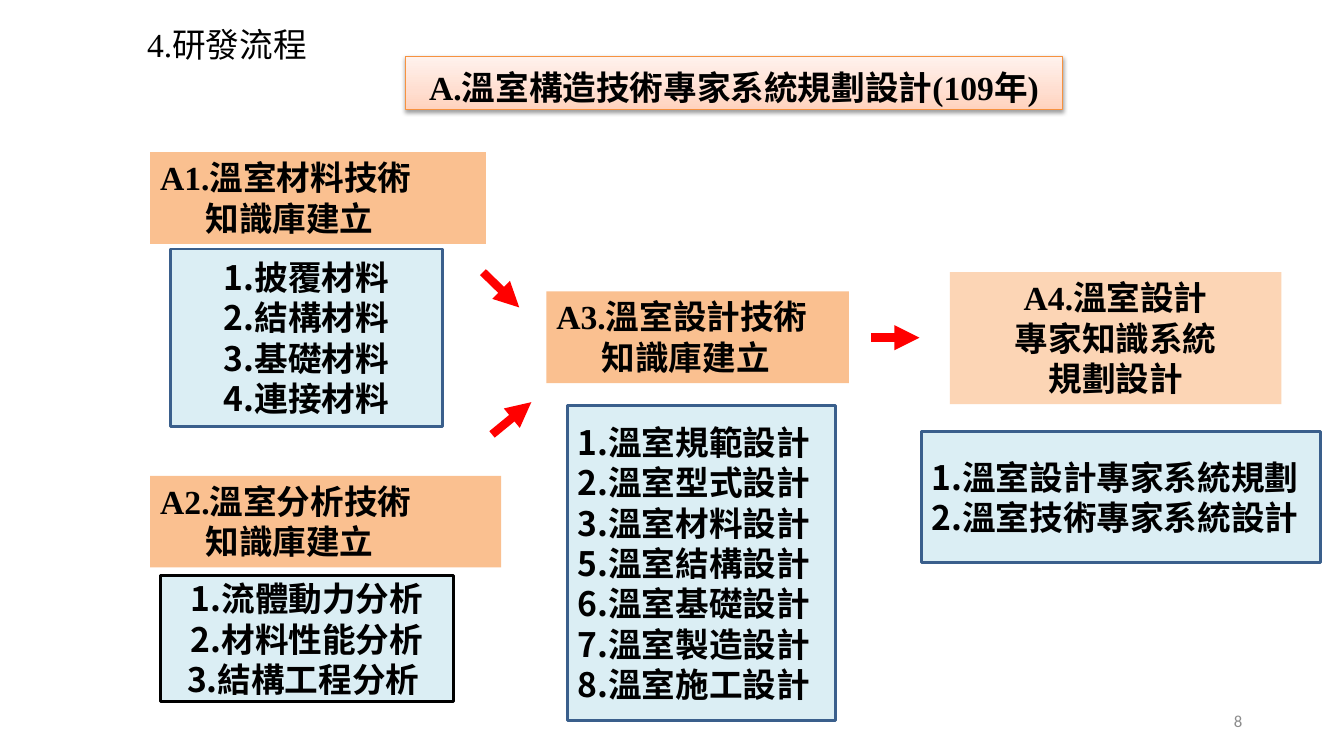
from dataclasses import dataclass

from lxml import etree
from pptx import Presentation
from pptx.dml.color import RGBColor
from pptx.enum.shapes import MSO_CONNECTOR, MSO_SHAPE
from pptx.enum.text import MSO_ANCHOR, PP_ALIGN
from pptx.oxml.ns import qn
from pptx.util import Inches, Pt

RECT = MSO_SHAPE.RECTANGLE
STRAIGHT = MSO_CONNECTOR.STRAIGHT
TOP, MIDDLE = MSO_ANCHOR.TOP, MSO_ANCHOR.MIDDLE
LEFT, CENTER, RIGHT = PP_ALIGN.LEFT, PP_ALIGN.CENTER, PP_ALIGN.RIGHT


@dataclass(frozen=True)
class Theme:
    serif: str = "Times New Roman"
    sans: str = "Noto Sans CJK SC"
    plain: str = "Calibri"
    body: float = 24
    small: float = 12
    black: str = "000000"
    gray: str = "8C8C8C"
    orange: str = "FAC090"
    peach: str = "FCD5B5"
    ice: str = "DBEEF4"
    navy: str = "3A5F8C"
    red: str = "FF0000"
    rim: str = "F69240"
    blend: tuple = ((0, "FFD2BD"), (35, "FFDED0"), (100, "FFF2ED"))


THEME = Theme()


@dataclass(frozen=True)
class Box:
    left: float
    top: float
    width: float
    height: float
    lines: tuple[str, ...]
    fill: str = ""
    edge: str = ""
    edge_width: float = 2
    font: str = THEME.serif
    size: float = THEME.body
    color: str = THEME.black
    bold: bool = True
    align: PP_ALIGN = LEFT
    anchor: MSO_ANCHOR = TOP
    indent: float = 0
    hang: float = 0


@dataclass(frozen=True)
class Arrow:
    x1: float
    y1: float
    x2: float
    y2: float


STORE = "知識庫建立"
HEADS = (
    Box(1.49, 1.51, 3.33, 0.91, ("A1.溫室材料技術", STORE), THEME.orange, hang=0.45),
    Box(1.49, 4.72, 3.48, 0.91, ("A2.溫室分析技術", STORE), THEME.orange, hang=0.45),
    Box(5.42, 2.89, 3, 0.91, ("A3.溫室設計技術", STORE), THEME.orange, hang=0.45),
    Box(9.42, 2.7, 3.29, 1.31, ("A4.溫室設計", "專家知識系統", "規劃設計"),
        THEME.peach, align=CENTER),
)
LISTS = (
    Box(1.69, 2.47, 2.7, 1.76,
        ("1.披覆材料", "2.結構材料", "3.基礎材料", "4.連接材料"),
        THEME.ice, THEME.navy, font=THEME.sans, align=CENTER, anchor=MIDDLE),
    Box(1.59, 5.71, 2.91, 1.25,
        ("1.流體動力分析", "2.材料性能分析", "3.結構工程分析 "),
        THEME.ice, THEME.black, font=THEME.sans, align=CENTER, anchor=MIDDLE),
    Box(5.63, 4.02, 2.66, 3.13,
        ("1.溫室規範設計", "2.溫室型式設計", "3.溫室材料設計", "5.溫室結構設計",
         "6.溫室基礎設計", "7.溫室製造設計", "8.溫室施工設計"),
        THEME.ice, THEME.navy, font=THEME.sans, anchor=MIDDLE),
    Box(9.14, 4.28, 3.96, 1.3,
        ("1.溫室設計專家系統規劃", "2.溫室技術專家系統設計"),
        THEME.ice, THEME.navy, font=THEME.sans, anchor=MIDDLE),
)
ARROWS = (
    Arrow(4.79, 2.7, 5.15, 3.05),
    Arrow(4.88, 4.31, 5.27, 3.99),
    Arrow(8.64, 3.35, 9.12, 3.35),
)
TITLE = Box(1.06, 0.19, 2.72, 0.5, ("4.研發流程",), bold=False, indent=0.3)
PAGE = Box(9.42, 6.95, 3, 0.4, ("8",), font=THEME.plain, size=THEME.small,
           color=THEME.gray, bold=False, align=RIGHT, anchor=MIDDLE)
BANNER = Box(4.02, 0.56, 6.52, 0.53, ("A.溫室構造技術專家系統規劃設計(109年)",),
             THEME.peach, THEME.rim, 0.75, align=CENTER, anchor=MIDDLE)


def rgb(code: str) -> RGBColor:
    return RGBColor.from_string(code)


def add_tint(node, code: str):
    return etree.SubElement(node, qn("a:srgbClr"), val=code)


def write(shape, box: Box) -> None:
    frame = shape.text_frame
    frame.text = "\n".join(box.lines)
    frame.word_wrap = True
    frame.vertical_anchor = box.anchor
    for row, para in enumerate(frame.paragraphs):
        para.alignment = box.align
        margin = box.hang if row else box.indent
        if margin:
            para._p.get_or_add_pPr().set("marL", str(Inches(margin)))
        for run in para.runs:
            font = run.font
            font.name, font.size, font.bold = box.font, Pt(box.size), box.bold
            font.color.rgb = rgb(box.color)
            etree.SubElement(run._r.get_or_add_rPr(), qn("a:ea"), typeface=THEME.sans)


def draw_box(slide, box: Box):
    place = [Inches(n) for n in (box.left, box.top, box.width, box.height)]
    if box.fill:
        shape = slide.shapes.add_shape(RECT, *place)
        shape.shadow.inherit = False
        shape.fill.solid()
        shape.fill.fore_color.rgb = rgb(box.fill)
        if box.edge:
            shape.line.color.rgb = rgb(box.edge)
            shape.line.width = Pt(box.edge_width)
        else:
            shape.line.fill.background()
    else:
        shape = slide.shapes.add_textbox(*place)
    write(shape, box)
    return shape


def draw_arrow(slide, arrow: Arrow) -> None:
    ends = [Inches(n) for n in (arrow.x1, arrow.y1, arrow.x2, arrow.y2)]
    link = slide.shapes.add_connector(STRAIGHT, *ends)
    link.line.color.rgb = rgb(THEME.red)
    link.line.width = Pt(6)
    etree.SubElement(link.line._get_or_add_ln(), qn("a:tailEnd"), type="triangle")
    etree.SubElement(link._element.spPr, qn("a:effectLst"))


def draw_banner(slide) -> None:
    shape = draw_box(slide, BANNER)
    frame = shape.text_frame
    frame.margin_left = frame.margin_right = Inches(0.04)
    frame.margin_top = frame.margin_bottom = Inches(0.02)
    frame.paragraphs[0].line_spacing = Pt(35)
    shape.fill.gradient()
    shape.fill.gradient_angle = 90
    props = shape._element.spPr
    stops = props.find(qn("a:gradFill")).find(qn("a:gsLst"))
    for stop in list(stops):
        stops.remove(stop)
    for point, code in THEME.blend:
        add_tint(etree.SubElement(stops, qn("a:gs"), pos=str(point * 1000)), code)
    shade = etree.SubElement(props.find(qn("a:effectLst")), qn("a:outerShdw"),
                             blurRad=str(Pt(3.1)), dist=str(Pt(1.6)),
                             dir="5400000", rotWithShape="0")
    etree.SubElement(add_tint(shade, THEME.black), qn("a:alpha"), val="38000")


def main() -> None:
    deck = Presentation()
    deck.slide_width, deck.slide_height = Inches(13.33), Inches(7.5)
    slide = deck.slides.add_slide(deck.slide_layouts[6])
    for box in (PAGE, *HEADS, *LISTS):
        draw_box(slide, box)
    for arrow in ARROWS:
        draw_arrow(slide, arrow)
    draw_box(slide, TITLE)
    draw_banner(slide)
    deck.save("out.pptx")


if __name__ == "__main__":
    main()
